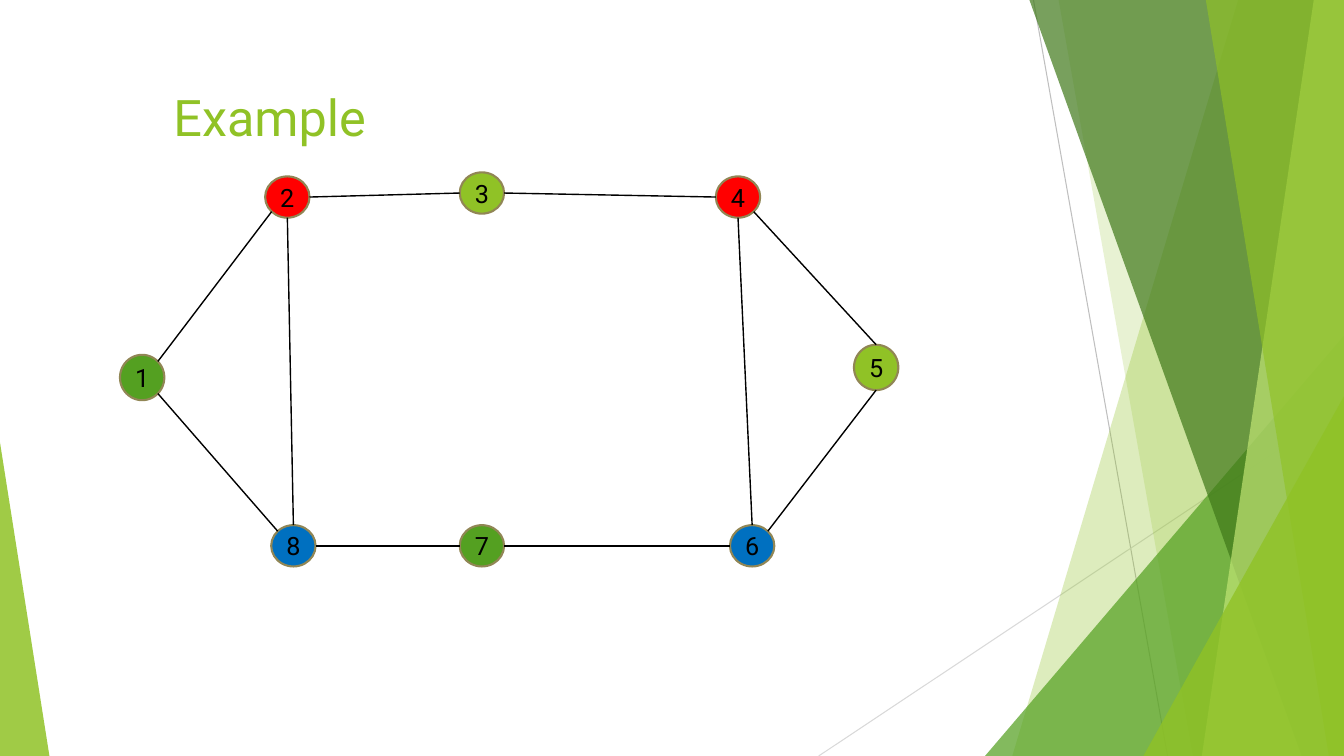
from math import cos, radians, sin

from lxml import etree
from pptx import Presentation
from pptx.dml.color import RGBColor
from pptx.enum.shapes import MSO_CONNECTOR as CONNECTOR, MSO_SHAPE as SHAPE
from pptx.enum.text import MSO_ANCHOR as ANCHOR, PP_ALIGN as ALIGN
from pptx.oxml.ns import qn
from pptx.util import Inches, Pt

WIDTH, HEIGHT = 13.33, 7.5
FONT = "Roboto"
LIME = RGBColor(0x90, 0xC2, 0x26)
GREEN = RGBColor(0x54, 0xA0, 0x21)
DARK_GREEN = RGBColor(0x3F, 0x78, 0x19)
PALE_LIME = RGBColor(0xC0, 0xE4, 0x74)
RED = RGBColor(0xFF, 0x00, 0x00)
BLUE = RGBColor(0x00, 0x70, 0xC0)
OLIVE = RGBColor(0x91, 0x86, 0x55)
BLACK = RGBColor(0x00, 0x00, 0x00)
GRAY = RGBColor(0xBF, 0xBF, 0xBF)
LIGHT_GRAY = RGBColor(0xD9, 0xD9, 0xD9)

# Connection sites of an ellipse, counter-clockwise from the top
TOP, TOP_LEFT, LEFT, BOTTOM_LEFT, BOTTOM, BOTTOM_RIGHT, RIGHT, TOP_RIGHT = range(8)

NODE_WIDTH = 0.44
# label: (left, top, height, color), relative to the graph's box
NODES = {
    "2": (1.44, 0.04, 0.41, RED),
    "1": (0, 1.81, 0.45, GREEN),
    "8": (1.5, 3.5, 0.41, BLUE),
    "3": (3.37, 0, 0.41, LIME),
    "4": (5.91, 0.04, 0.41, RED),
    "5": (7.28, 1.71, 0.45, LIME),
    "6": (6.05, 3.5, 0.41, BLUE),
    "7": (3.37, 3.5, 0.41, GREEN),
}
EDGES = [
    ("1", TOP_RIGHT, "2", BOTTOM_LEFT),
    ("1", BOTTOM_RIGHT, "8", TOP_LEFT),
    ("2", RIGHT, "3", LEFT),
    ("3", RIGHT, "4", LEFT),
    ("4", BOTTOM_RIGHT, "5", TOP),
    ("5", BOTTOM, "6", TOP_RIGHT),
    ("6", LEFT, "7", RIGHT),
    ("8", RIGHT, "7", LEFT),
    ("8", TOP, "2", BOTTOM),
    ("6", TOP, "4", BOTTOM),
]


def add_line(slide, start, end, color, width):
    line = slide.shapes.add_connector(CONNECTOR.STRAIGHT, *start, *end)
    line.line.color.rgb = color
    line.line.width = Pt(width)
    etree.SubElement(line._element.spPr, qn("a:effectLst"))
    return line


def fill_translucent(shape, color, opacity):
    """Fill a borderless shape; opacity is in percent."""
    shape.shadow.inherit = False
    shape.line.fill.background()
    shape.fill.solid()
    shape.fill.fore_color.rgb = color
    srgb = shape._element.spPr.find(f"{qn('a:solidFill')}/{qn('a:srgbClr')}")
    etree.SubElement(srgb, qn("a:alpha"), val=str(opacity * 1000))


def add_band(slide, top_left, bottom_left, right, height, color, opacity):
    """Add a slanted band that reaches the right edge of the slide."""
    corners = [(top_left, 0), (right, 0), (right, height), (bottom_left, height)]
    points = [(Inches(x), Inches(y)) for x, y in corners]
    builder = slide.shapes.build_freeform(*points[0], scale=1.0)
    builder.add_line_segments(points[1:], close=True)
    fill_translucent(builder.convert_to_shape(), color, opacity)


def add_corner(slide, left, width, height, apex, color, opacity):
    """Add a triangle standing on the bottom edge; apex runs from 0 to 1."""
    corner = slide.shapes.add_shape(
        SHAPE.ISOSCELES_TRIANGLE, Inches(left), Inches(HEIGHT - height),
        Inches(width), Inches(height))
    corner.adjustments[0] = apex
    fill_translucent(corner, color, opacity)


def add_decoration(slide, right, height):
    add_line(slide, (Inches(right - 3.08), 0),
             (Inches(right - 1.75), Inches(height)), GRAY, 0.75)
    add_line(slide, (Inches(right), Inches(height - 3.47)),
             (Inches(right - 5.21), Inches(height)), LIGHT_GRAY, 0.75)
    add_band(slide, right - 1.05, right - 3.29, right, height, LIME, 30)
    add_band(slide, right - 2.83, right - 1.5, right, height, LIME, 20)
    add_corner(slide, right - 3.56, 3.56, 4.17, 1, GREEN, 72)
    add_band(slide, right - 3.12, right - 0.42, right, height, DARK_GREEN, 70)
    add_band(slide, right - 0.3, right - 1.41, right, height, PALE_LIME, 70)
    add_band(slide, right - 1.37, right - 0.15, right, height, LIME, 65)
    add_corner(slide, right - 1.99, 1.99, 3.57, 1, LIME, 80)
    add_corner(slide, 0, 0.49, 3.11, 0, LIME, 85)


def format_text(frame, size, color, align):
    frame.vertical_anchor = ANCHOR.MIDDLE
    paragraph = frame.paragraphs[0]
    paragraph.alignment = align
    font = paragraph.runs[0].font
    font.name, font.size = FONT, Pt(size)
    font.color.rgb = color


def add_title(slide, left, top, width, height):
    title = slide.shapes.title
    title.left, title.top = Inches(left), Inches(top)
    title.width, title.height = Inches(width), Inches(height)
    title.text_frame.text = "Example"
    format_text(title.text_frame, 36, LIME, ALIGN.LEFT)


def add_node(slide, label, left, top, height, color):
    node = slide.shapes.add_shape(
        SHAPE.OVAL, Inches(left), Inches(top), Inches(NODE_WIDTH), Inches(height))
    node.shadow.inherit = False
    node.fill.solid()
    node.fill.fore_color.rgb = color
    node.line.color.rgb = OLIVE
    node.line.width = Pt(1.5)
    node.text_frame.text = label
    node.text_frame.word_wrap = False
    format_text(node.text_frame, 18, BLACK, ALIGN.CENTER)
    return node


def site_point(node, site):
    angle = radians(90 + 45 * site)
    return (round(node.left + node.width / 2 * (1 + cos(angle))),
            round(node.top + node.height / 2 * (1 - sin(angle))))


def add_edge(slide, start, start_site, end, end_site):
    """Join two nodes and glue the line to their connection sites."""
    edge = add_line(slide, site_point(start, start_site),
                    site_point(end, end_site), BLACK, 1)
    links = edge._element.nvCxnSpPr.cNvCxnSpPr
    for tag, node, site in (("a:stCxn", start, start_site),
                            ("a:endCxn", end, end_site)):
        etree.SubElement(links, qn(tag), id=str(node.shape_id), idx=str(site))


def add_graph(slide, left, top):
    nodes = {
        label: add_node(slide, label, left + x, top + y, height, color)
        for label, (x, y, height, color) in NODES.items()
    }
    for start, start_site, end, end_site in EDGES:
        add_edge(slide, nodes[start], start_site, nodes[end], end_site)


def main():
    deck = Presentation()
    deck.slide_width, deck.slide_height = Inches(WIDTH), Inches(HEIGHT)
    slide = deck.slides.add_slide(deck.slide_layouts[5])
    add_decoration(slide, WIDTH, HEIGHT)
    add_title(slide, 1.62, 0.75, 10.96, 0.81)
    add_graph(slide, 1.19, 1.71)
    deck.save("out.pptx")


if __name__ == "__main__":
    main()
